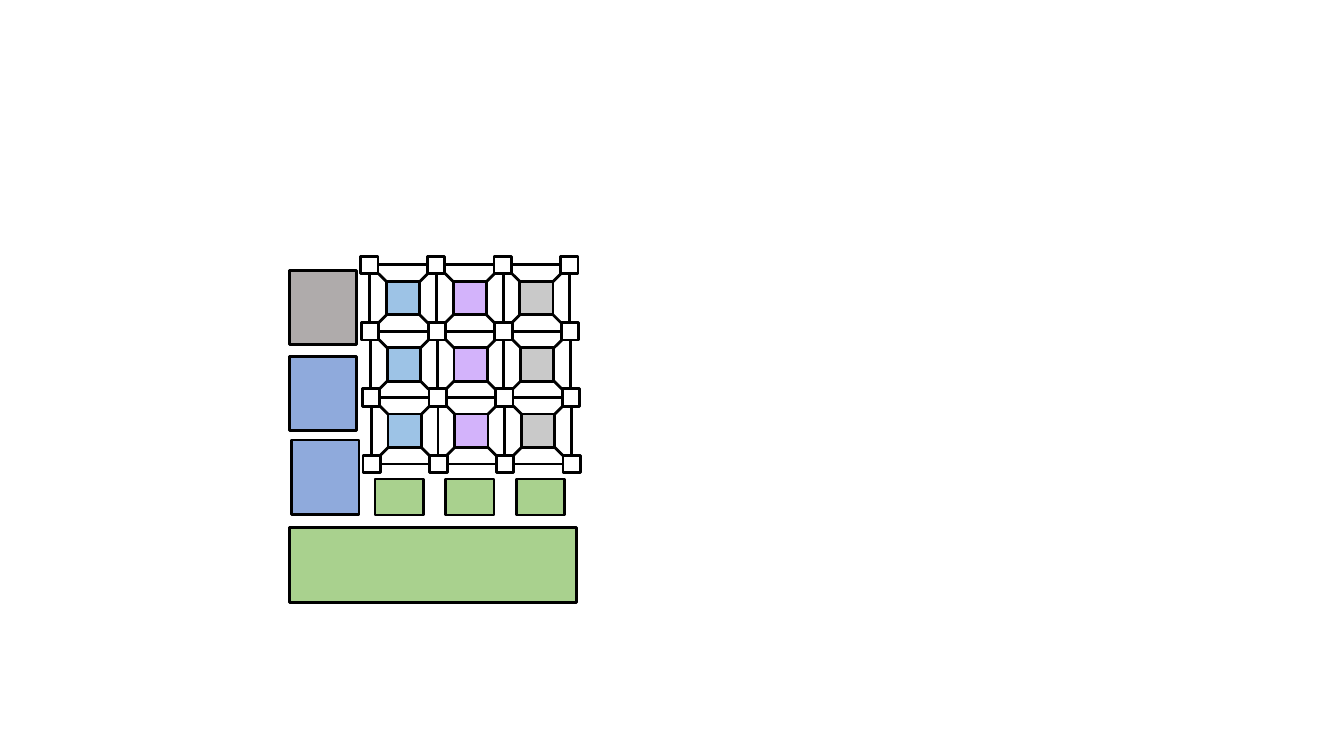
from dataclasses import dataclass
from itertools import product

from lxml import etree
from pptx import Presentation
from pptx.dml.color import RGBColor
from pptx.enum.shapes import MSO_CONNECTOR, MSO_SHAPE
from pptx.oxml.ns import qn
from pptx.shapes.base import BaseShape
from pptx.shapes.shapetree import GroupShapes
from pptx.util import Cm, Pt

RECTANGLE = MSO_SHAPE.RECTANGLE
STRAIGHT = MSO_CONNECTOR.STRAIGHT

COLOURS = {
    "white": "FFFFFF",
    "black": "000000",
    "sky": "9DC3E6",
    "violet": "D3B3FB",
    "silver": "C9C9C9",
    "green": "A9D18E",
    "blue": "8FAADC",
    "grey": "AFABAB",
}

LINE_WIDTH = 2
GRID_LEFT, GRID_TOP = 9.31, 6.68
TILE, CORE, NODE = 1.68, 0.84, 0.44
ROW_PITCH, ROW_SHIFT = 1.67, 0.02
GRID_SIZE = 3
CORE_COLOURS = ("sky", "violet", "silver")


@dataclass(frozen=True)
class Block:
    left: float
    top: float
    width: float
    height: float
    colour: str


@dataclass(frozen=True)
class Square:
    centre_x: float
    centre_y: float
    side: float
    colour: str


def grid_point(column: float, row: float) -> tuple[float, float]:
    return GRID_LEFT + TILE * column + ROW_SHIFT * row, GRID_TOP + ROW_PITCH * row


BLOCKS = [
    Block(7.29, 13.3, 7.24, 1.88, "green"),
    Block(7.35, 11.09, 1.7, 1.88, "blue"),
    Block(7.29, 6.81, 1.7, 1.88, "grey"),
    Block(7.29, 8.98, 1.7, 1.88, "blue"),
] + [
    Block(9.45 + 1.78 * column, 12.07, 1.22, 0.91, "green")
    for column in range(GRID_SIZE)
]

CORES = [
    Square(*grid_point(column + 0.5, row + 0.5), CORE, CORE_COLOURS[column])
    for row, column in product(range(GRID_SIZE), repeat=2)
]

NODES = [
    Square(*grid_point(column, row), NODE, "white")
    for row, column in product(range(GRID_SIZE + 1), repeat=2)
]


def colour_of(name: str) -> RGBColor:
    return RGBColor.from_string(COLOURS[name])


def outline(item: BaseShape) -> None:
    item.line.color.rgb = colour_of("black")
    item.line.width = Pt(LINE_WIDTH)


def draw_block(shapes: GroupShapes, block: Block) -> None:
    box = shapes.add_shape(
        RECTANGLE, Cm(block.left), Cm(block.top), Cm(block.width), Cm(block.height)
    )
    box.shadow.inherit = False
    box.fill.solid()
    box.fill.fore_color.rgb = colour_of(block.colour)
    outline(box)


def draw_square(shapes: GroupShapes, square: Square) -> None:
    left = square.centre_x - square.side / 2
    top = square.centre_y - square.side / 2
    draw_block(shapes, Block(left, top, square.side, square.side, square.colour))


def draw_link(
    shapes: GroupShapes, start_x: float, start_y: float, end_x: float, end_y: float
) -> None:
    link = shapes.add_connector(
        STRAIGHT, Cm(start_x), Cm(start_y), Cm(end_x), Cm(end_y)
    )
    outline(link)
    etree.SubElement(link._element.spPr, qn("a:effectLst"))


def draw_tile(shapes: GroupShapes, core: Square) -> None:
    x, y = core.centre_x, core.centre_y
    draw_square(shapes, Square(x, y, TILE, "white"))
    draw_square(shapes, core)
    inner, outer = CORE / 2, (TILE - NODE) / 2
    for across, down in product((-1, 1), repeat=2):
        draw_link(
            shapes,
            x + across * inner,
            y + down * inner,
            x + across * outer,
            y + down * outer,
        )


def main() -> None:
    deck = Presentation()
    deck.slide_width, deck.slide_height = Cm(33.87), Cm(19.05)
    page = deck.slides.add_slide(deck.slide_layouts[6])
    diagram = page.shapes.add_group_shape()
    for core in CORES:
        draw_tile(diagram.shapes, core)
    for node in NODES:
        draw_square(diagram.shapes, node)
    for block in BLOCKS:
        draw_block(diagram.shapes, block)
    deck.save("out.pptx")


if __name__ == "__main__":
    main()
